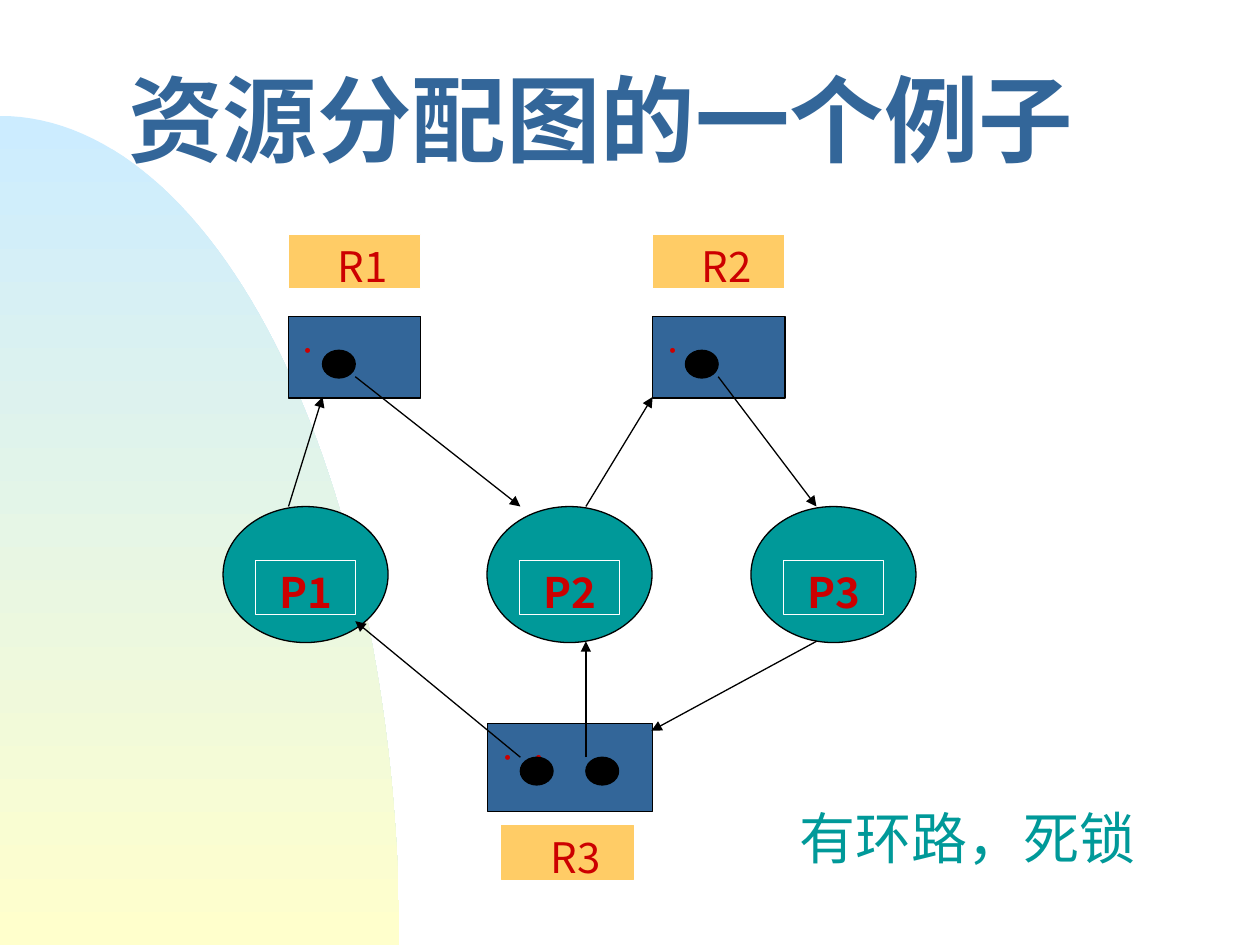
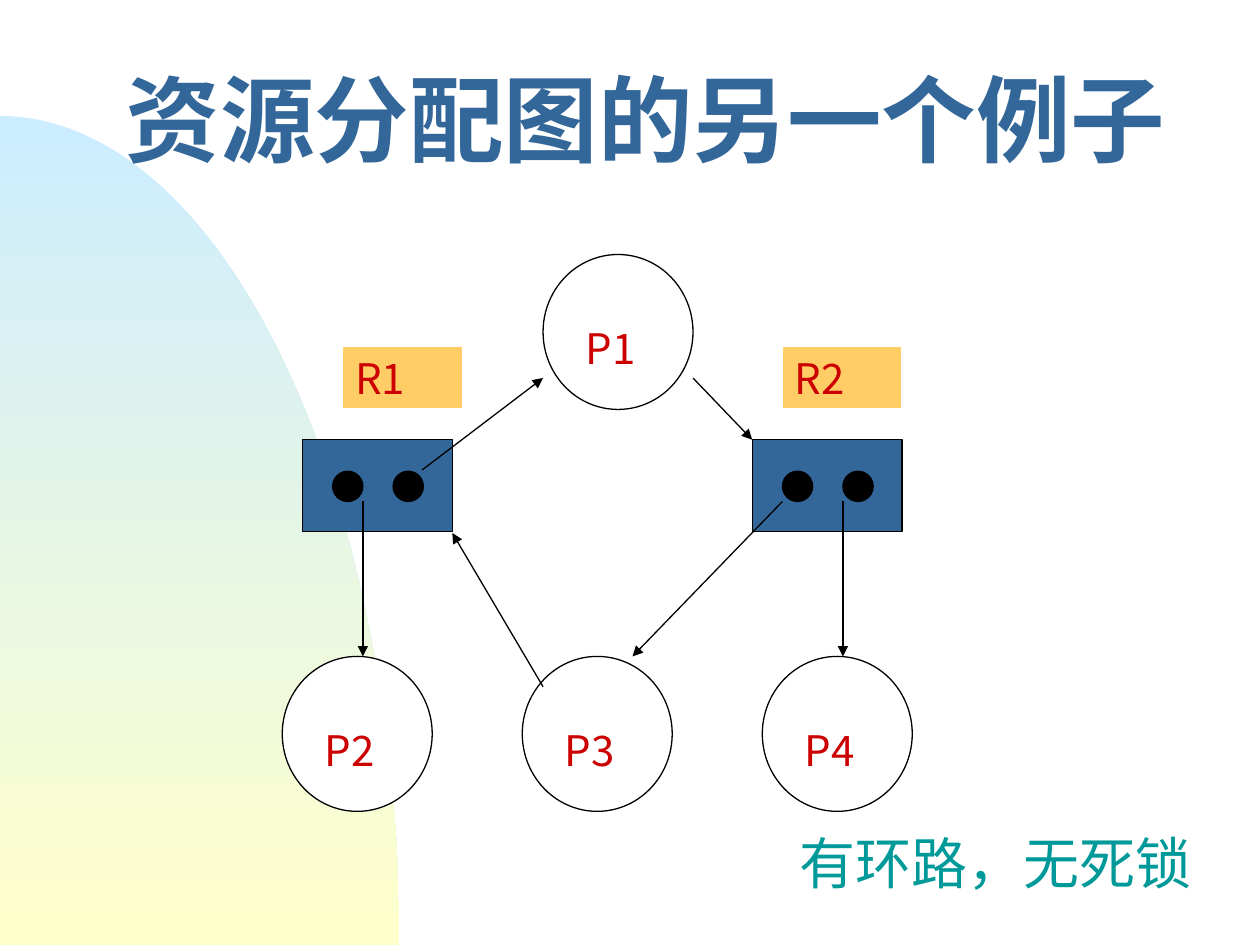
"""Build two slides of resource allocation graphs, one deadlocked and one not."""
import math
from dataclasses import dataclass
from typing import Any, Optional

import lxml.etree
import pptx
import pptx.dml.color
import pptx.enum.shapes
import pptx.enum.text
import pptx.oxml.ns
import pptx.util

Inches = pptx.util.Inches
Pt = pptx.util.Pt
Kind = pptx.enum.shapes.MSO_SHAPE
Align = pptx.enum.text.PP_ALIGN
Anchor = pptx.enum.text.MSO_ANCHOR


@dataclass(frozen=True)
class Theme:
    blue: str = "336699"
    teal: str = "009999"
    gold: str = "FFCC66"
    red: str = "CC0000"
    black: str = "000000"
    white: str = "FFFFFF"
    sky: str = "CCECFF"
    cream: str = "FFFFCC"
    head: str = "Arial Narrow"
    body: str = "Arial"
    mark: str = "Noto Sans CJK JP"
    title: int = 54
    note: int = 32
    label: int = 24
    small: int = 18
    line: float = 0.75


@dataclass(frozen=True)
class Box:
    x: float
    y: float
    w: float
    h: float


@dataclass(frozen=True)
class Node:
    text: str
    x: float
    y: float


@dataclass(frozen=True)
class Arrow:
    x1: float
    y1: float
    x2: float
    y2: float


@dataclass(frozen=True)
class Style:
    w: float
    h: float
    tag: Box
    fill: str
    bold: bool
    align: Any


THEME = Theme()
OVAL = Style(1.31, 1.08, Box(0.26, 0.43, 0.79, 0.43), THEME.teal, True, Align.CENTER)
ROUND = Style(1.19, 1.23, Box(0.24, 0.49, 0.71, 0.49), THEME.white, False, Align.LEFT)


def color(code: str) -> pptx.dml.color.RGBColor:
    return pptx.dml.color.RGBColor.from_string(code)


def write(shape: Any, text: str, *, size: int = THEME.label, font: str = THEME.mark,
          ink: str = THEME.red, bold: bool = False, align: Any = Align.LEFT,
          anchor: Any = Anchor.TOP, inset: float = 0.1, before: float = 0,
          spacing: float = 1.0) -> None:
    frame = shape.text_frame
    frame.word_wrap = True
    frame.vertical_anchor = anchor
    frame.margin_left, frame.margin_right = Inches(inset), Inches(0.1)
    frame.margin_top = frame.margin_bottom = Inches(0.05)
    para = frame.paragraphs[0]
    para.alignment = align
    para.space_before = Pt(before)
    para.line_spacing = spacing
    run = para.add_run()
    run.text = text
    run.font.size = Pt(size)
    run.font.name = font
    run.font.bold = bold
    run.font.color.rgb = color(ink)


def place(slide: Any, box: Box, fill: str, line: str, kind: Any = Kind.RECTANGLE) -> Any:
    shape = slide.shapes.add_shape(kind, *map(Inches, (box.x, box.y, box.w, box.h)))
    shape.shadow.inherit = False
    shape.fill.solid()
    shape.fill.fore_color.rgb = color(fill)
    shape.line.color.rgb = color(line)
    shape.line.width = Pt(THEME.line)
    return shape


def caption(slide: Any, box: Box, text: str, **style: Any) -> None:
    shape = slide.shapes.add_textbox(*map(Inches, (box.x, box.y, box.w, box.h)))
    write(shape, text, **style)


def link(slide: Any, arrow: Arrow) -> None:
    ends = map(Inches, (arrow.x1, arrow.y1, arrow.x2, arrow.y2))
    line = slide.shapes.add_connector(pptx.enum.shapes.MSO_CONNECTOR.STRAIGHT, *ends)
    line.line.color.rgb = color(THEME.black)
    line.line.width = Pt(THEME.line)
    qn = pptx.oxml.ns.qn
    lxml.etree.SubElement(line.line._get_or_add_ln(), qn("a:tailEnd"), type="triangle")
    lxml.etree.SubElement(line._element.spPr, qn("a:effectLst"))


def tag(slide: Any, box: Box, text: str, line: str = THEME.white,
        inset: float = 0.1) -> None:
    write(place(slide, box, THEME.gold, line), text, inset=inset)


def store(slide: Any, box: Box, dots: str = "") -> None:
    shape = place(slide, box, THEME.blue, THEME.black)
    if dots:
        write(shape, dots, size=THEME.small, align=Align.JUSTIFY)


def dot(slide: Any, box: Box) -> None:
    place(slide, box, THEME.black, THEME.black, Kind.OVAL)


def process(slide: Any, node: Node, style: Style) -> None:
    place(slide, Box(node.x, node.y, style.w, style.h), style.fill, THEME.black, Kind.OVAL)
    part = style.tag
    inner = Box(node.x + part.x, node.y + part.y, part.w, part.h)
    write(place(slide, inner, style.fill, THEME.white), node.text,
          bold=style.bold, align=style.align)


def arc(slide: Any, wide: float = 3.17, top: float = 0.92, base: float = 7.5) -> None:
    turns = [math.pi / 2 * step / 60 for step in range(61)]
    points = [(Inches(wide * math.sin(turn)),
               Inches(base - (base - top) * math.cos(turn))) for turn in turns]
    pen = slide.shapes.build_freeform(0, Inches(base))
    pen.add_line_segments(points, close=True)
    shape = pen.convert_to_shape()
    shape.shadow.inherit = False
    shape.line.fill.background()
    shape.fill.gradient()
    shape.fill.gradient_angle = 270
    for stop, code, spot in zip(shape.fill.gradient_stops, (THEME.sky, THEME.cream), (0, 1)):
        stop.color.rgb = color(code)
        stop.position = spot


def start(deck: Any, title: str, left: float, note: str, low: float) -> Any:
    slide = deck.slides.add_slide(deck.slide_layouts[6])
    arc(slide)
    caption(slide, Box(left, 0.42, 8.5, 1.25), title, size=THEME.title, font=THEME.head,
            ink=THEME.blue, bold=True, anchor=Anchor.MIDDLE, spacing=0.7)
    caption(slide, Box(6.25, low, 3.5, 0.64), note, size=THEME.note, font=THEME.body,
            ink=THEME.teal, before=20)
    return slide


def locked(deck: Any) -> None:
    slide = start(deck, "资源分配图的一个例子", 0.92, "有环路，死锁", 6.33)
    for text, x in (("R1", 2.29), ("R2", 5.18)):
        tag(slide, Box(x, 1.86, 1.05, 0.43), text, inset=0.39)
        store(slide, Box(x, 2.51, 1.05, 0.65), "．")
    store(slide, Box(3.87, 5.74, 1.31, 0.7), "．．")
    tag(slide, Box(3.98, 6.55, 1.05, 0.43), "R3", line=THEME.gold, inset=0.39)
    for step in range(3):
        process(slide, Node(f"P{step + 1}", 1.77 + 2.095 * step, 4.02), OVAL)
    for arrow in (
        Arrow(2.29, 4.02, 2.56, 3.15),
        Arrow(2.82, 2.99, 4.13, 4.02),
        Arrow(4.65, 4.02, 5.18, 3.15),
        Arrow(5.7, 2.99, 6.48, 4.02),
        Arrow(4.13, 6.01, 2.82, 4.93),
        Arrow(4.65, 6.01, 4.65, 5.09),
        Arrow(6.48, 5.09, 5.17, 5.8),
    ):
        link(slide, arrow)
    for x, y in ((2.56, 2.78), (5.44, 2.78), (4.13, 6.01), (4.65, 6.01)):
        dot(slide, Box(x, y, 0.26, 0.22))


def free(deck: Any) -> None:
    slide = start(deck, "资源分配图的另一个例子", 0.9, "有环路，无死锁", 6.53)
    for text, x, left in (("R1", 2.72, 2.4), ("R2", 6.21, 5.97)):
        tag(slide, Box(x, 2.75, 0.95, 0.49), text)
        store(slide, Box(left, 3.49, 1.19, 0.73))
        for shift in (0.24, 0.72):
            dot(slide, Box(left + shift, 3.74, 0.24, 0.24))
    process(slide, Node("P1", 4.31, 2.02), ROUND)
    for step in range(3):
        process(slide, Node(f"P{step + 2}", 2.24 + 1.905 * step, 5.21), ROUND)
    for arrow in (
        Arrow(3.35, 3.73, 4.31, 3),
        Arrow(5.5, 3, 5.97, 3.49),
        Arrow(6.69, 3.98, 6.69, 5.21),
        Arrow(6.21, 3.98, 5.02, 5.21),
        Arrow(4.31, 5.45, 3.59, 4.23),
        Arrow(2.88, 3.98, 2.88, 5.21),
    ):
        link(slide, arrow)


def main() -> None:
    deck = pptx.Presentation()
    deck.slide_width, deck.slide_height = Inches(10), Inches(7.5)
    locked(deck)
    free(deck)
    deck.save("out.pptx")


if __name__ == "__main__":
    main()
